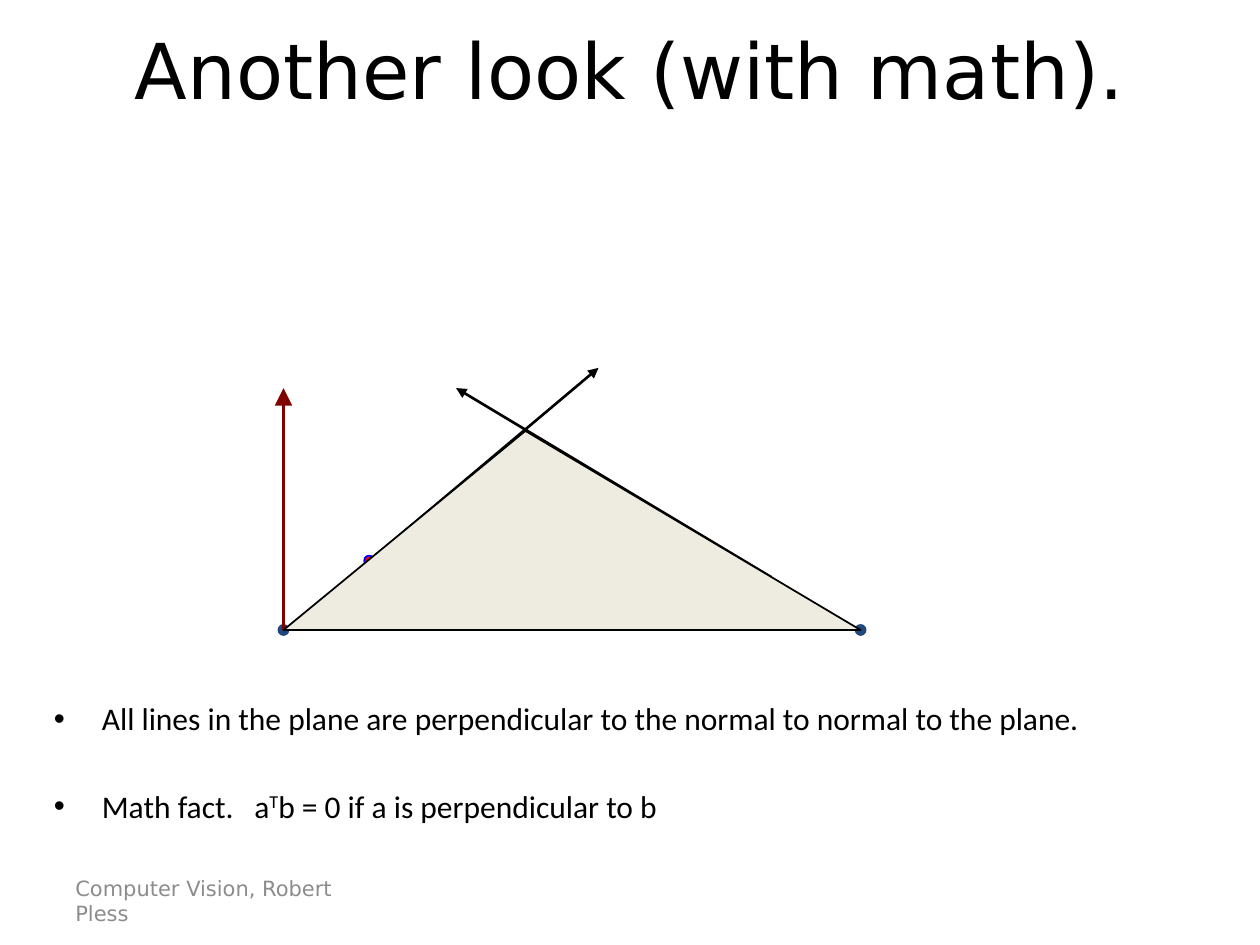
"""Build the slide on lines in a plane and its normal."""
import pptx
import pptx.util
import pptx.dml.color
import pptx.enum.shapes
import pptx.enum.text
import pptx.oxml.ns
import lxml.etree

Inches, Pt = pptx.util.Inches, pptx.util.Pt
RGB = pptx.dml.color.RGBColor.from_string
qn = pptx.oxml.ns.qn
C = {"black": "000000", "gray": "8C8C8C", "navy": "1F497D", "red": "FF0000",
     "blue": "0000FF", "maroon": "800000", "cream": "EEECE1"}

prs = pptx.Presentation()
prs.slide_width, prs.slide_height = Inches(10), Inches(7.5)
s = prs.slides.add_slide(prs.slide_layouts[6])


def add_text(box, lines, font, size, color, anchor):
    tf = s.shapes.add_textbox(*map(Inches, box)).text_frame
    tf.word_wrap = True
    tf.vertical_anchor = anchor
    tf.text = "\n".join(lines)
    for p in tf.paragraphs:
        for r in p.runs:
            r.font.name, r.font.size = font, Pt(size)
            r.font.color.rgb = RGB(C[color])
    return tf


def add_arrow(start, end, color, width, head):
    cn = s.shapes.add_connector(pptx.enum.shapes.MSO_CONNECTOR.STRAIGHT,
                                *map(Inches, start + end))
    cn.line.color.rgb, cn.line.width = RGB(C[color]), Pt(width)
    ln = cn.line._get_or_add_ln()
    lxml.etree.SubElement(ln, qn("a:tailEnd"), type="triangle", w=head, len=head)
    lxml.etree.SubElement(cn._element.spPr, qn("a:effectLst"))


MIDDLE = pptx.enum.text.MSO_ANCHOR.MIDDLE
TOP = pptx.enum.text.MSO_ANCHOR.TOP
left, right, apex = (2.25, 5), (6.83, 5), (4.17, 3.42)

add_text((0.5, 6.95, 2.33, 0.4), ["Computer Vision, Robert Pless"],
         "DejaVu Sans", 12, "gray", MIDDLE)
add_arrow((2.92, 4.46), (4.75, 2.92), "black", 1.5, "med")
tf = add_text((0.75, -0.08, 8.5, 1.25), ["Another look (with math)."],
              "DejaVu Sans", 44, "black", MIDDLE)
tf.paragraphs[0].alignment = pptx.enum.text.PP_ALIGN.CENTER

dot = 0.08
for (x, y), fill, line in ((left, "navy", "navy"), (right, "navy", "navy"),
                           ((2.93, 4.45), "red", "blue")):
    sp = s.shapes.add_shape(pptx.enum.shapes.MSO_SHAPE.OVAL, Inches(x - dot / 2),
                            Inches(y - dot / 2), Inches(dot), Inches(dot))
    sp.shadow.inherit = False
    sp.fill.solid()
    sp.fill.fore_color.rgb = RGB(C[fill])
    sp.line.color.rgb, sp.line.width = RGB(C[line]), Pt(1)

add_arrow(left, (2.25, 3.08), "maroon", 2, "lg")

tf = add_text((0.33, 5.5, 9.25, 1.58),
              ["All lines in the plane are perpendicular to the normal to normal to the plane.",
               "Math fact.\ta"], "Calibri", 18, "black", TOP)
for p in tf.paragraphs:
    pPr = p._p.get_or_add_pPr()
    pPr.set("marL", str(Inches(0.38)))
    pPr.set("indent", str(Inches(-0.38)))
    lxml.etree.SubElement(pPr, qn("a:buFont"), typeface="Arial")
    lxml.etree.SubElement(pPr, qn("a:buChar"), char="•")
tabs = lxml.etree.SubElement(pPr, qn("a:tabLst"))
lxml.etree.SubElement(tabs, qn("a:tab"), pos=str(Inches(1.59)), algn="l")
p.space_before = Pt(28.5)
for text, baseline in (("T", 30000), ("b = 0 if a is perpendicular to b", 0)):
    r = p.add_run()
    r.text = text
    r.font.name, r.font.size = "Calibri", Pt(18)
    r.font.color.rgb = RGB(C["black"])
    r.font._element.set("baseline", str(baseline))

add_arrow((6.12, 4.58), (3.62, 3.08), "black", 1.5, "med")

start, *others = [tuple(map(Inches, point)) for point in (left, right, apex)]
fb = s.shapes.build_freeform(*start)
fb.add_line_segments(others, close=True)
sp = fb.convert_to_shape()
sp.shadow.inherit = False
sp.fill.solid()
sp.fill.fore_color.rgb = RGB(C["cream"])
sp.line.color.rgb, sp.line.width = RGB(C["black"]), Pt(1)

prs.save("out.pptx")
